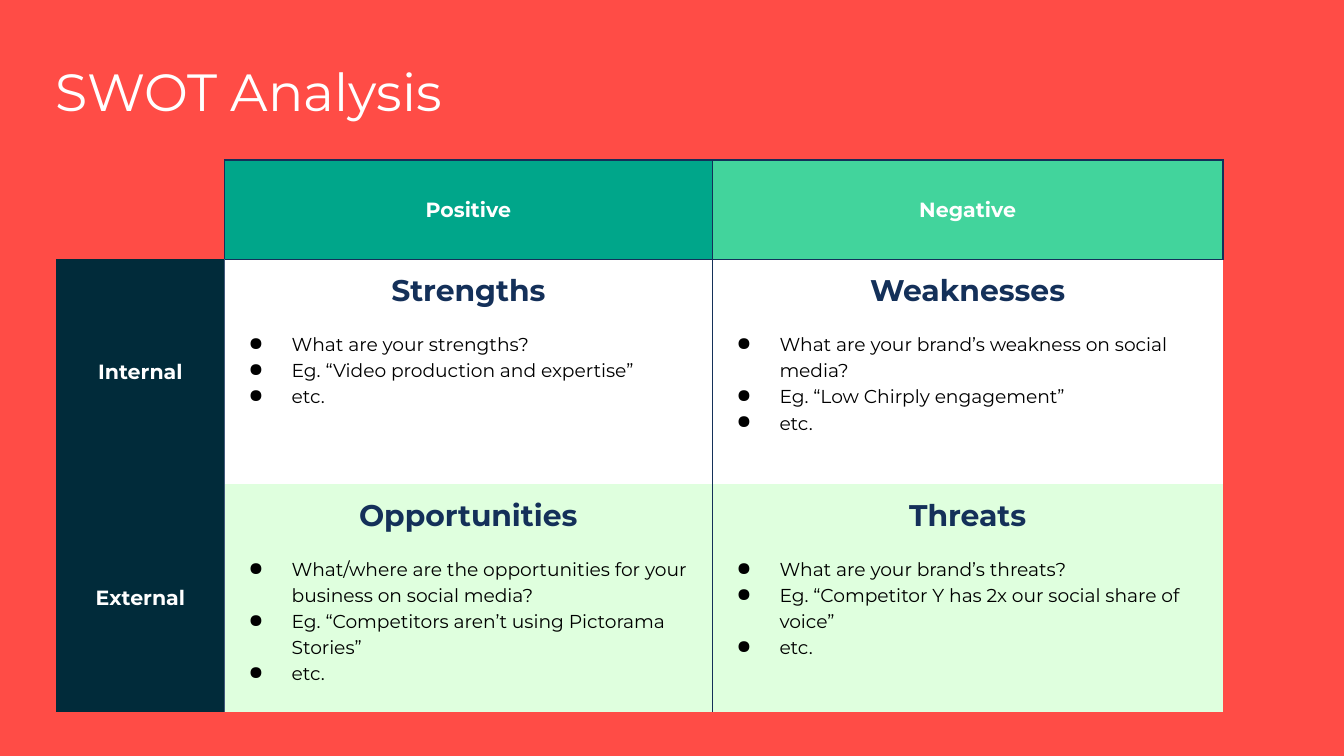
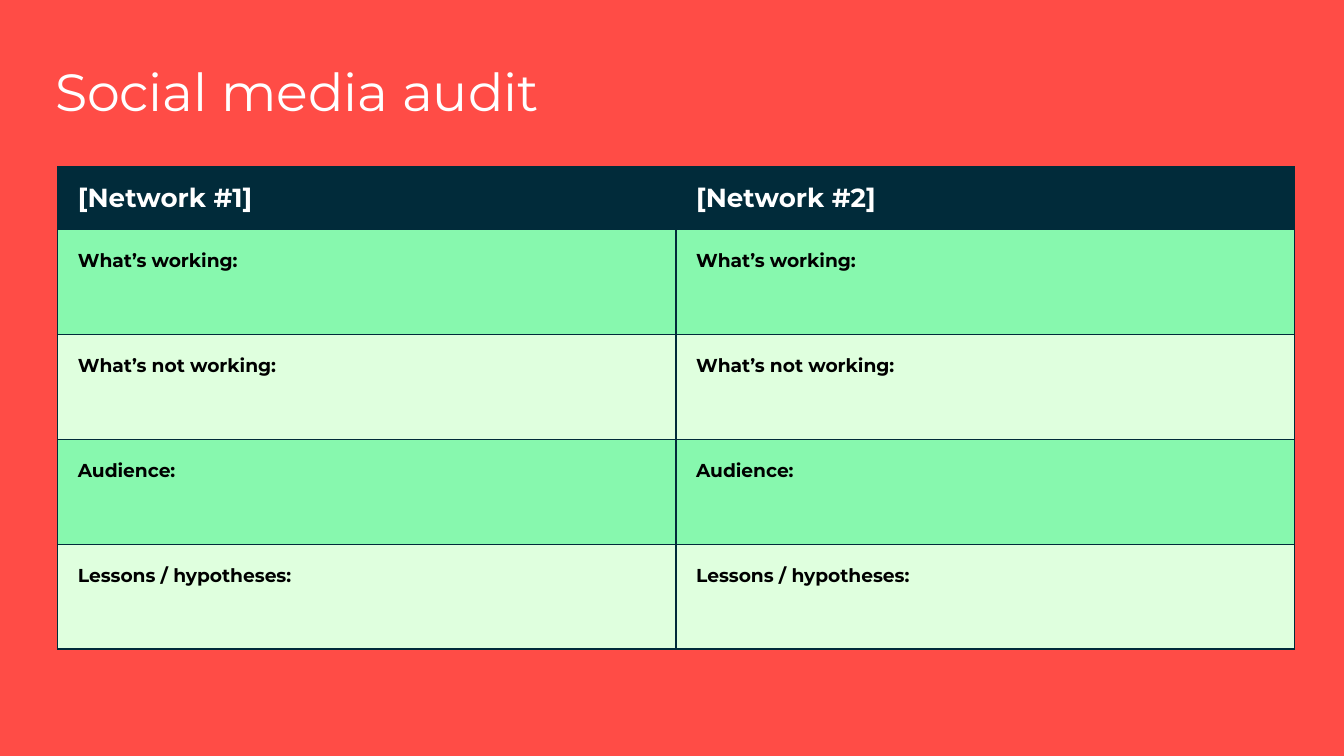
from dataclasses import dataclass
from typing import Optional

import pptx
import pptx.dml.color
import pptx.enum.text
import pptx.oxml
import pptx.oxml.ns
import pptx.presentation
import pptx.slide
import pptx.table
import pptx.text.text
import pptx.util

Inches = pptx.util.Inches
Pt = pptx.util.Pt
RGBColor = pptx.dml.color.RGBColor
Align = pptx.enum.text.PP_ALIGN
Anchor = pptx.enum.text.MSO_ANCHOR

FONT = "Montserrat"
CORAL = RGBColor(0xFF, 0x4C, 0x46)
WHITE = RGBColor(0xFF, 0xFF, 0xFF)
BLACK = RGBColor(0x00, 0x00, 0x00)
NAVY = RGBColor(0x14, 0x30, 0x59)
SLATE = RGBColor(0x43, 0x59, 0x7A)
INK = RGBColor(0x01, 0x2B, 0x3A)
TEAL = RGBColor(0x00, 0xA6, 0x8A)
MINT = RGBColor(0x42, 0xD4, 0x9C)
GREEN = RGBColor(0x87, 0xF8, 0xAE)
PALE = RGBColor(0xDF, 0xFF, 0xDE)

Borders = dict[str, RGBColor]


@dataclass(frozen=True)
class TextStyle:
    size: int
    color: RGBColor
    bold: bool = False


TITLE = TextStyle(28, WHITE)
AXIS = TextStyle(11, WHITE, True)
QUADRANT = TextStyle(16, NAVY, True)
BULLET = TextStyle(10, BLACK)
NETWORK = TextStyle(14, WHITE, True)
PROMPT = TextStyle(10, BLACK, True)


@dataclass(frozen=True)
class Cell:
    heading: str
    style: TextStyle
    fill: Optional[RGBColor]
    borders: Borders
    bullets: tuple[str, ...] = ()
    align: Align = Align.CENTER
    anchor: Anchor = Anchor.MIDDLE
    side_inset: float = 0.1
    top_inset: float = 0.1


def all_sides(color: RGBColor) -> Borders:
    return {side: color for side in "LRTB"}


def axis(label: str, fill: RGBColor, borders: Borders) -> Cell:
    return Cell(label, AXIS, fill, borders)


def quadrant(heading: str, fill: RGBColor, borders: Borders, *bullets: str) -> Cell:
    return Cell(heading, QUADRANT, fill, borders, bullets, anchor=Anchor.TOP)


def audit_cell(text: str, style: TextStyle, fill: RGBColor, anchor: Anchor, top: float) -> Cell:
    return Cell(text, style, fill, all_sides(INK), (), Align.LEFT, anchor, 0.15, top)


def add_run(paragraph: pptx.text.text._Paragraph, text: str, style: TextStyle) -> None:
    run = paragraph.add_run()
    run.text = text
    run.font.name = FONT
    run.font.size = Pt(style.size)
    run.font.bold = style.bold
    run.font.color.rgb = style.color


def add_bullet(frame: pptx.text.text.TextFrame, text: str) -> None:
    paragraph = frame.add_paragraph()
    properties = paragraph._p.get_or_add_pPr()
    properties.set("marL", str(Inches(0.4)))
    properties.set("indent", str(Inches(-0.32)))
    namespace = pptx.oxml.ns.nsdecls("a")
    for xml in (
        f'<a:buClr {namespace}><a:srgbClr val="{BLACK}"/></a:buClr>',
        f'<a:buSzPts {namespace} val="{BULLET.size * 100}"/>',
        f'<a:buChar {namespace} char="●"/>',
    ):
        properties.append(pptx.oxml.parse_xml(xml))
    paragraph.line_spacing = 1.15
    add_run(paragraph, text, BULLET)


def draw_borders(cell: pptx.table._Cell, borders: Borders) -> None:
    properties = cell._tc.get_or_add_tcPr()
    for side in "LRTB":
        color = borders.get(side)
        paint = f'<a:solidFill><a:srgbClr val="{color}"/></a:solidFill>' if color else "<a:noFill/>"
        properties.append(pptx.oxml.parse_xml(
            f'<a:ln{side} {pptx.oxml.ns.nsdecls("a")} w="{Pt(0.75)}">{paint}</a:ln{side}>'
        ))


def fill_cell(cell: pptx.table._Cell, content: Cell) -> None:
    draw_borders(cell, content.borders)
    if content.fill is None:
        cell.fill.background()
    else:
        cell.fill.solid()
        cell.fill.fore_color.rgb = content.fill
    cell.vertical_anchor = content.anchor
    cell.margin_left = cell.margin_right = Inches(content.side_inset)
    cell.margin_top = Inches(content.top_inset)
    cell.margin_bottom = Inches(0.1)
    if not content.heading:
        return
    heading = cell.text_frame.paragraphs[0]
    heading.alignment = content.align
    add_run(heading, content.heading, content.style)
    if content.bullets:
        heading.space_after = Pt(11.5)
    for bullet in content.bullets:
        add_bullet(cell.text_frame, bullet)


def add_grid(
    slide: pptx.slide.Slide,
    left: float,
    top: float,
    widths: list[float],
    heights: list[float],
    rows: list[list[Cell]],
) -> None:
    grid = slide.shapes.add_table(
        len(heights), len(widths), Inches(left), Inches(top),
        Inches(sum(widths)), Inches(sum(heights)),
    ).table
    grid.first_row = False
    grid.horz_banding = False
    for column, width in zip(grid.columns, widths):
        column.width = Inches(width)
    for row, height, contents in zip(grid.rows, heights, rows):
        row.height = Inches(height)
        for cell, content in zip(row.cells, contents):
            fill_cell(cell, content)


def add_titled_slide(deck: pptx.presentation.Presentation, title: str) -> pptx.slide.Slide:
    slide = deck.slides.add_slide(deck.slide_layouts[6])
    slide.background.fill.solid()
    slide.background.fill.fore_color.rgb = CORAL
    frame = slide.shapes.add_textbox(Inches(0.35), Inches(0.39), Inches(8.35), Inches(0.59)).text_frame
    frame.word_wrap = True
    frame.margin_left = Inches(0.06)
    frame.margin_top = frame.margin_right = frame.margin_bottom = Inches(0.1)
    heading = frame.paragraphs[0]
    heading.line_spacing = 0.9
    add_run(heading, title, TITLE)
    return slide


def build_swot(deck: pptx.presentation.Presentation) -> None:
    slide = add_titled_slide(deck, "SWOT Analysis")
    side_borders = {"R": SLATE}
    positive = {"L": SLATE, "R": NAVY}
    negative = {"L": NAVY}
    under_header = {"T": NAVY}
    rows = [
        [
            Cell("", AXIS, None, {"R": NAVY}),
            axis("Positive", TEAL, all_sides(NAVY)),
            axis("Negative", MINT, all_sides(NAVY)),
        ],
        [
            axis("Internal", INK, side_borders),
            quadrant("Strengths", WHITE, positive | under_header,
                     "What are your strengths?", "Eg. “Video production and expertise”", "etc."),
            quadrant("Weaknesses", WHITE, negative | under_header,
                     "What are your brand’s weakness on social media?",
                     "Eg. “Low Chirply engagement”", "etc."),
        ],
        [
            axis("External", INK, side_borders),
            quadrant("Opportunities", PALE, positive,
                     "What/where are the opportunities for your business on social media?",
                     "Eg. “Competitors aren’t using Pictorama Stories”", "etc."),
            quadrant("Threats", PALE, negative,
                     "What are your brand’s threats?",
                     "Eg. “Competitor Y has 2x our social share of voice”", "etc."),
        ],
    ]
    add_grid(slide, 0.42, 1.19, [1.25, 3.63, 3.8], [0.74, 1.67, 1.7], rows)


def build_audit(deck: pptx.presentation.Presentation) -> None:
    slide = add_titled_slide(deck, "Social media audit")
    networks = ["[Network #1]", "[Network #2]"]
    prompts = ["What’s working:", "What’s not working:", "Audience:", "Lessons / hypotheses:"]
    rows = [[audit_cell(network, NETWORK, INK, Anchor.MIDDLE, 0.1) for network in networks]]
    for index, prompt in enumerate(prompts):
        band = PALE if index % 2 else GREEN
        rows.append([audit_cell(prompt, PROMPT, band, Anchor.TOP, 0.15)] * len(networks))
    add_grid(slide, 0.43, 1.24, [4.6] * len(networks), [0.47] + [0.78] * len(prompts), rows)


def main() -> None:
    deck = pptx.Presentation()
    deck.slide_width = Inches(10)
    deck.slide_height = Inches(10) * 9 // 16
    build_swot(deck)
    build_audit(deck)
    deck.save("out.pptx")


if __name__ == "__main__":
    main()
